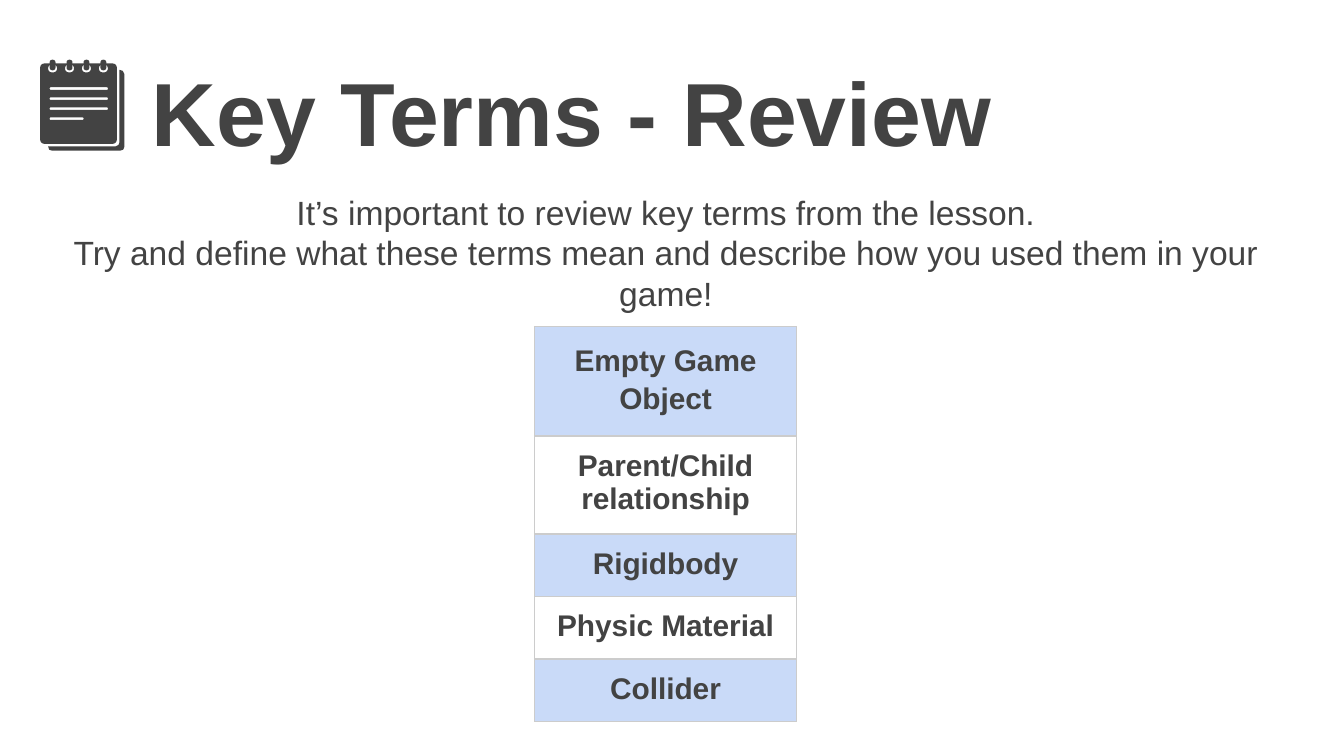
from dataclasses import dataclass
from math import cos, pi, sin

from lxml.etree import SubElement
from pptx import Presentation
from pptx.dml.color import RGBColor
from pptx.enum.text import PP_ALIGN
from pptx.oxml.ns import qn
from pptx.util import Cm, Pt

INK, BAND, RULE = "434343", "C9DAF8", "CCCCCC"
PADDING = 0.25
Outline = list[tuple[float, float]]


@dataclass
class Term:
    name: str
    height: float
    fill: str | None = None
    spacing: float | None = None


TERMS = [
    Term("Empty Game Object", 2.07, BAND, 1.15),
    Term("Parent/Child relationship", 1.85),
    Term("Rigidbody", 1.18, BAND),
    Term("Physic Material", 1.18),
    Term("Collider", 1.18, BAND),
]


def colour(code: str) -> RGBColor:
    return RGBColor.from_string(code)


def write(paragraph, words: str, size: int, bold: bool = False) -> None:
    run = paragraph.add_run()
    run.text = words
    run.font.name = "Arial"
    run.font.size = Pt(size)
    run.font.bold = bold
    run.font.color.rgb = colour(INK)


def add_text_frame(slide, left: float, top: float, width: float, height: float):
    frame = slide.shapes.add_textbox(Cm(left), Cm(top), Cm(width), Cm(height)).text_frame
    frame.word_wrap = True
    frame.margin_left = frame.margin_right = Cm(PADDING)
    frame.margin_top = frame.margin_bottom = Cm(PADDING)
    return frame


def rounded(left: float, top: float, width: float, height: float, radius: float) -> Outline:
    """Outline of a rectangle with round corners, in centimetres."""
    points = []
    right, bottom = left + width - radius, top + height - radius
    corners = [(right, bottom), (left + radius, bottom),
               (left + radius, top + radius), (right, top + radius)]
    for quarter, (x, y) in enumerate(corners):
        for step in range(5):
            angle = (quarter + step / 4) * pi / 2
            points.append((x + radius * cos(angle), y + radius * sin(angle)))
    return points


def draw_outlines(group, outlines: list[Outline]) -> None:
    """One filled shape; outlines inside the first one become holes."""
    contours = [[(Cm(x), Cm(y)) for x, y in outline] for outline in outlines]
    builder = group.shapes.build_freeform(*contours[0][0])
    for number, contour in enumerate(contours):
        if number:
            builder.move_to(*contour[0])
        builder.add_line_segments(contour[1:], close=True)
    shape = builder.convert_to_shape()
    shape.shadow.inherit = False
    shape.fill.solid()
    shape.fill.fore_color.rgb = colour(INK)
    shape.line.fill.background()


def draw_notepad(slide) -> None:
    group = slide.shapes.add_group_shape()
    # Back sheet, seen along the right and bottom edges
    draw_outlines(group, [[(2.26, 1.32), (2.32, 1.34), (2.35, 1.4), (2.35, 2.78),
                           (2.33, 2.83), (2.27, 2.85), (0.99, 2.85), (0.93, 2.83),
                           (0.91, 2.77), (2.18, 2.77), (2.24, 2.74), (2.26, 2.69)]])
    # Binding pins, each seen through a hole in the front sheet
    centres = [1 + 0.32 * pin for pin in range(4)]
    for centre in centres:
        draw_outlines(group, [rounded(centre - 0.06, 1.13, 0.11, 0.2, 0.05)])
    # Front sheet with holes and writing lines
    holes = [rounded(centre - 0.09, 1.22, 0.17, 0.15, 0.07) for centre in centres]
    lines = [rounded(0.94, 1.65 + 0.19 * row, width, 0.05, 0.02)
             for row, width in enumerate([1.1, 1.1, 1.1, 0.64])]
    draw_outlines(group, [rounded(0.76, 1.2, 1.45, 1.52, 0.08), *holes, *lines])


def set_borders(cell) -> None:
    properties = cell._tc.get_or_add_tcPr()
    for side in ("a:lnL", "a:lnR", "a:lnT", "a:lnB"):
        line = SubElement(properties, qn(side), w=str(Pt(0.75)))
        SubElement(SubElement(line, qn("a:solidFill")), qn("a:srgbClr"), val=RULE)


def draw_terms(slide) -> None:
    height = sum(term.height for term in TERMS)
    table = slide.shapes.add_table(len(TERMS), 1, Cm(10.1), Cm(6.17),
                                   Cm(4.96), Cm(height)).table
    table.first_row = table.horz_banding = False
    for row, term in enumerate(TERMS):
        table.rows[row].height = Cm(term.height)
        cell = table.cell(row, 0)
        cell.margin_left = cell.margin_right = Cm(PADDING)
        cell.margin_top = cell.margin_bottom = Cm(PADDING)
        set_borders(cell)
        if term.fill:
            cell.fill.solid()
            cell.fill.fore_color.rgb = colour(term.fill)
        else:
            cell.fill.background()
        paragraph = cell.text_frame.paragraphs[0]
        paragraph.alignment = PP_ALIGN.CENTER
        paragraph.line_spacing = term.spacing
        write(paragraph, term.name, 16, bold=True)


presentation = Presentation()
presentation.slide_width, presentation.slide_height = Cm(25.4), Cm(14.29)
slide = presentation.slides.add_slide(presentation.slide_layouts[6])

# Title
title = add_text_frame(slide, 2.62, 0.64, 21.89, 2.21)
title.margin_top = Cm(0.43)
write(title.paragraphs[0], "Key Terms - Review", 48, bold=True)

draw_notepad(slide)

# Instructions
instructions = add_text_frame(slide, 0.76, 3.38, 23.65, 1.7)
opening, task = instructions.paragraphs[0], instructions.add_paragraph()
opening.alignment = task.alignment = PP_ALIGN.CENTER
write(opening, "It’s important to review key terms from the lesson.", 18)
write(task, "Try and define what these terms mean and describe how you used them "
            "in your game!", 18)

draw_terms(slide)
presentation.save("out.pptx")
